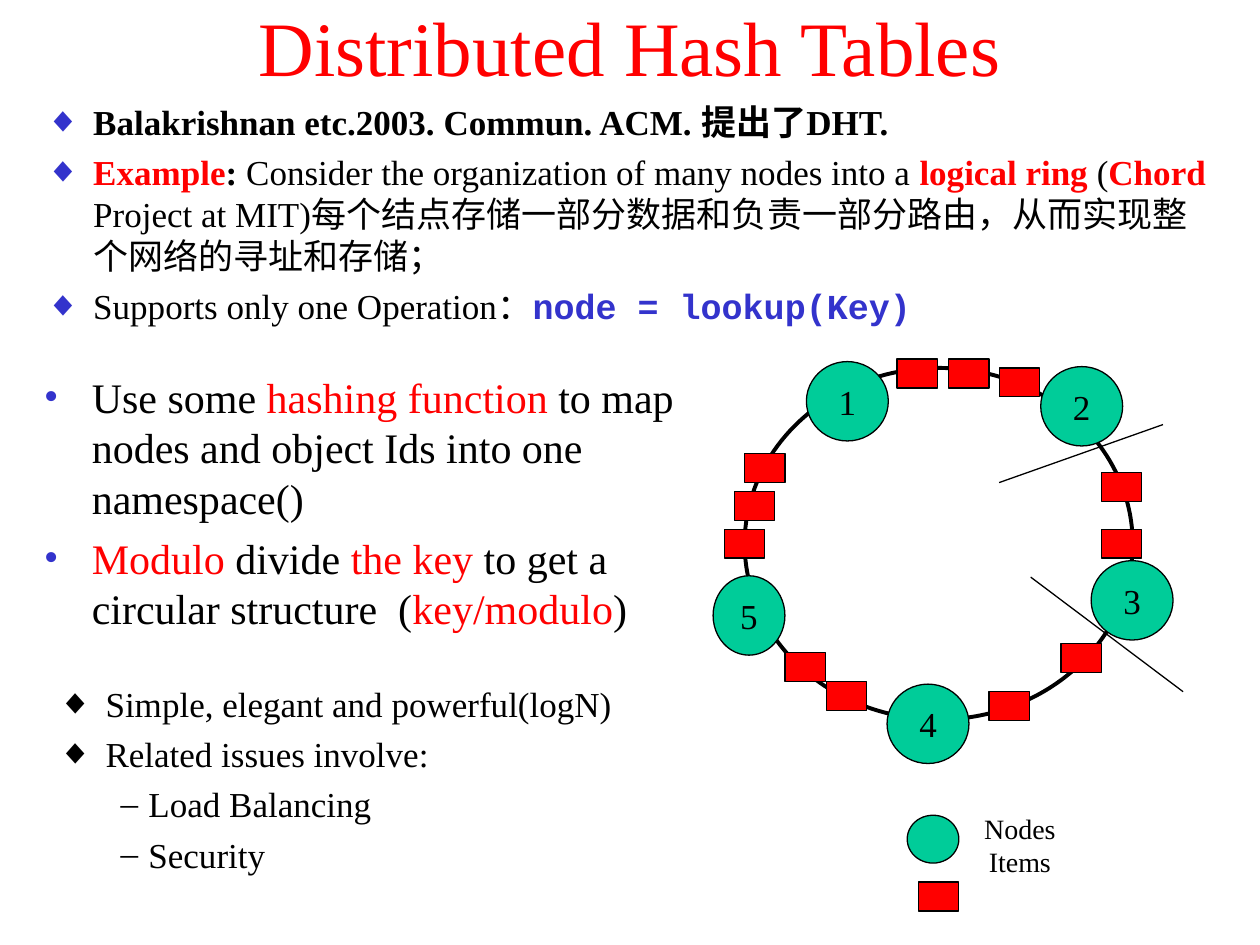
from typing import NamedTuple

from lxml import etree
from pptx import Presentation
from pptx.dml.color import RGBColor
from pptx.enum.shapes import MSO_CONNECTOR, MSO_SHAPE
from pptx.enum.text import MSO_ANCHOR, MSO_AUTO_SIZE, PP_ALIGN
from pptx.oxml.ns import qn
from pptx.util import Pt

PX = 9144  # EMU per px, 100 px to the inch
OVAL, BOX = MSO_SHAPE.OVAL, MSO_SHAPE.RECTANGLE
STRAIGHT = MSO_CONNECTOR.STRAIGHT
CENTER, LEFT = PP_ALIGN.CENTER, PP_ALIGN.LEFT
TOP, MIDDLE = MSO_ANCHOR.TOP, MSO_ANCHOR.MIDDLE
NO_AUTOFIT = MSO_AUTO_SIZE.NONE

SERIF, MONO = "Times New Roman", "Courier New"
BLACK, RED, BLUE, GREEN = "000000", "FF0000", "3333CC", "00CC99"
NODE_SIZE, ITEM_SIZE = (65, 63), (32, 23)


class Frame(NamedTuple):
    left: int
    top: int
    width: int
    height: int


class Run(NamedTuple):
    text: str
    color: str = BLACK
    bold: bool = False
    font: str = SERIF


class Bullet(NamedTuple):
    char: str
    color: str
    margin: int = 38
    hanging: int = 38


class Line(NamedTuple):
    runs: list[Run]
    bullet: Bullet | None = None


class Node(NamedTuple):
    label: str
    frame: Frame


def rgb(value: str) -> RGBColor:
    return RGBColor.from_string(value)


def emu(frame: Frame) -> list[int]:
    return [length * PX for length in frame]


def apply(target, values: dict) -> None:
    for name, value in values.items():
        setattr(target, name, value)


def add_bullet(paragraph, bullet: Bullet) -> None:
    properties = paragraph._p.get_or_add_pPr()
    properties.set("marL", str(bullet.margin * PX))
    properties.set("indent", str(-bullet.hanging * PX))
    color = etree.SubElement(properties, qn("a:buClr"))
    etree.SubElement(color, qn("a:srgbClr"), val=bullet.color)
    etree.SubElement(properties, qn("a:buFont"), typeface=SERIF)
    etree.SubElement(properties, qn("a:buChar"), char=bullet.char)


def write_text(shape, lines: list[Line], size: int, align=LEFT, anchor=TOP, gap: float = 0) -> None:
    frame = shape.text_frame
    apply(frame, {"word_wrap": True, "auto_size": NO_AUTOFIT, "vertical_anchor": anchor})
    for index, line in enumerate(lines):
        paragraph = frame.add_paragraph() if index else frame.paragraphs[0]
        if line.bullet:
            add_bullet(paragraph, line.bullet)
        apply(paragraph, {"alignment": align, "space_before": Pt(gap if index else 0)})
        for part in line.runs:
            run = paragraph.add_run()
            run.text = part.text
            apply(run.font, {"name": part.font, "size": Pt(size), "bold": part.bold})
            run.font.color.rgb = rgb(part.color)


def place(shape, frame: Frame) -> None:
    apply(shape, dict(zip(("left", "top", "width", "height"), emu(frame))))


def add_figure(slide, kind, frame: Frame, fill: str | None, weight: float = 0.75):
    shape = slide.shapes.add_shape(kind, *emu(frame))
    shape.shadow.inherit = False
    if fill:
        shape.fill.solid()
        shape.fill.fore_color.rgb = rgb(fill)
    else:
        shape.fill.background()
    shape.line.color.rgb = rgb(BLACK)
    shape.line.width = Pt(weight)
    return shape


def add_node(slide, node: Node) -> None:
    shape = add_figure(slide, OVAL, node.frame, GREEN)
    write_text(shape, [Line([Run(node.label)])], 20, CENTER, MIDDLE)


def add_cut(slide, ends: tuple[int, int, int, int]) -> None:
    connector = slide.shapes.add_connector(STRAIGHT, *(end * PX for end in ends))
    connector.line.color.rgb = rgb(BLACK)
    connector.line.width = Pt(0.75)
    etree.SubElement(connector._element.spPr, qn("a:effectLst"))


BLUE_DIAMOND, BLACK_DIAMOND = Bullet("◆", BLUE), Bullet("◆", BLACK)
BLUE_DOT, DASH = Bullet("•", BLUE), Bullet("–", BLACK, 72, 22)

INTRODUCTION = [
    Line([Run("Balakrishnan etc.2003. Commun. ACM. 提出了DHT.", bold=True)], BLUE_DIAMOND),
    Line([
        Run("Example", RED, True),
        Run(": ", bold=True),
        Run("Consider the organization of many nodes into a "),
        Run("logical ring ", RED, True),
        Run("("),
        Run("Chord ", RED, True),
        Run("Project at MIT)每个结点存储一部分数据和负责一部分路由，从而实现整个网络的寻址和存储；"),
    ], BLUE_DIAMOND),
    Line([
        Run("Supports only one Operation："),
        Run("node = lookup(Key)", BLUE, True, MONO),
    ], BLUE_DIAMOND),
]
HASHING = [
    Line([
        Run("Use some "),
        Run("hashing function", RED),
        Run(" to map nodes and object Ids into one namespace()"),
    ], BLUE_DOT),
    Line([
        Run("Modulo ", RED),
        Run("divide "),
        Run("the key ", RED),
        Run("to get a circular structure  ("),
        Run("key/modulo", RED),
        Run(")"),
    ], BLUE_DOT),
]
ISSUES = [
    Line([Run("Simple, elegant and powerful(logN)")], BLACK_DIAMOND),
    Line([Run("Related issues involve:")], BLACK_DIAMOND),
    Line([Run("Load Balancing")], DASH),
    Line([Run("Security")], DASH),
]
LEGEND = [Line([Run("Nodes")]), Line([Run("Items")])]

NODES = [
    Node("1", Frame(640, 287, *NODE_SIZE)),
    Node("2", Frame(826, 291, *NODE_SIZE)),
    Node("3", Frame(866, 445, *NODE_SIZE)),
    Node("4", Frame(704, 543, *NODE_SIZE)),
    Node("5", Frame(566, 457, 57, 63)),
]
# Left and top of every item, clockwise from the top, the legend's last
ITEMS = [
    (712, 285), (753, 285), (793, 292), (874, 375), (874, 420), (842, 511),
    (785, 549), (656, 541), (623, 518), (575, 420), (583, 390), (591, 360),
    (729, 700),
]
CUTS = [(923, 337, 793, 383), (818, 458, 939, 549)]

presentation = Presentation()
presentation.slide_width, presentation.slide_height = 1000 * PX, 750 * PX
slide = presentation.slides.add_slide(presentation.slide_layouts[1])

# Title and introduction
title, body = slide.shapes.title, slide.placeholders[1]
place(title, Frame(0, 0, 1000, 72))
write_text(title, [Line([Run("Distributed Hash Tables", RED)])], 44, CENTER, MIDDLE)
place(body, Frame(26, 75, 949, 200))
write_text(body, INTRODUCTION, 20, gap=4.6)

# Lists at the left
for frame, lines, size, gap in (
    (Frame(25, 290, 542, 233), HASHING, 24, 5.5),
    (Frame(36, 537, 463, 165), ISSUES, 20, 4.6),
):
    write_text(slide.shapes.add_textbox(*emu(frame)), lines, size, gap=gap)

# Ring with its nodes, items and cuts
add_figure(slide, OVAL, Frame(591, 292, 308, 279), None, 2.25)
for node in NODES:
    add_node(slide, node)
for left, top in ITEMS:
    add_figure(slide, BOX, Frame(left, top, *ITEM_SIZE), RED)
for ends in CUTS:
    add_cut(slide, ends)

# Legend
add_figure(slide, OVAL, Frame(720, 647, 41, 38), GREEN)
write_text(slide.shapes.add_textbox(*emu(Frame(761, 639, 97, 64))), LEGEND, 16, CENTER)

presentation.save("out.pptx")
